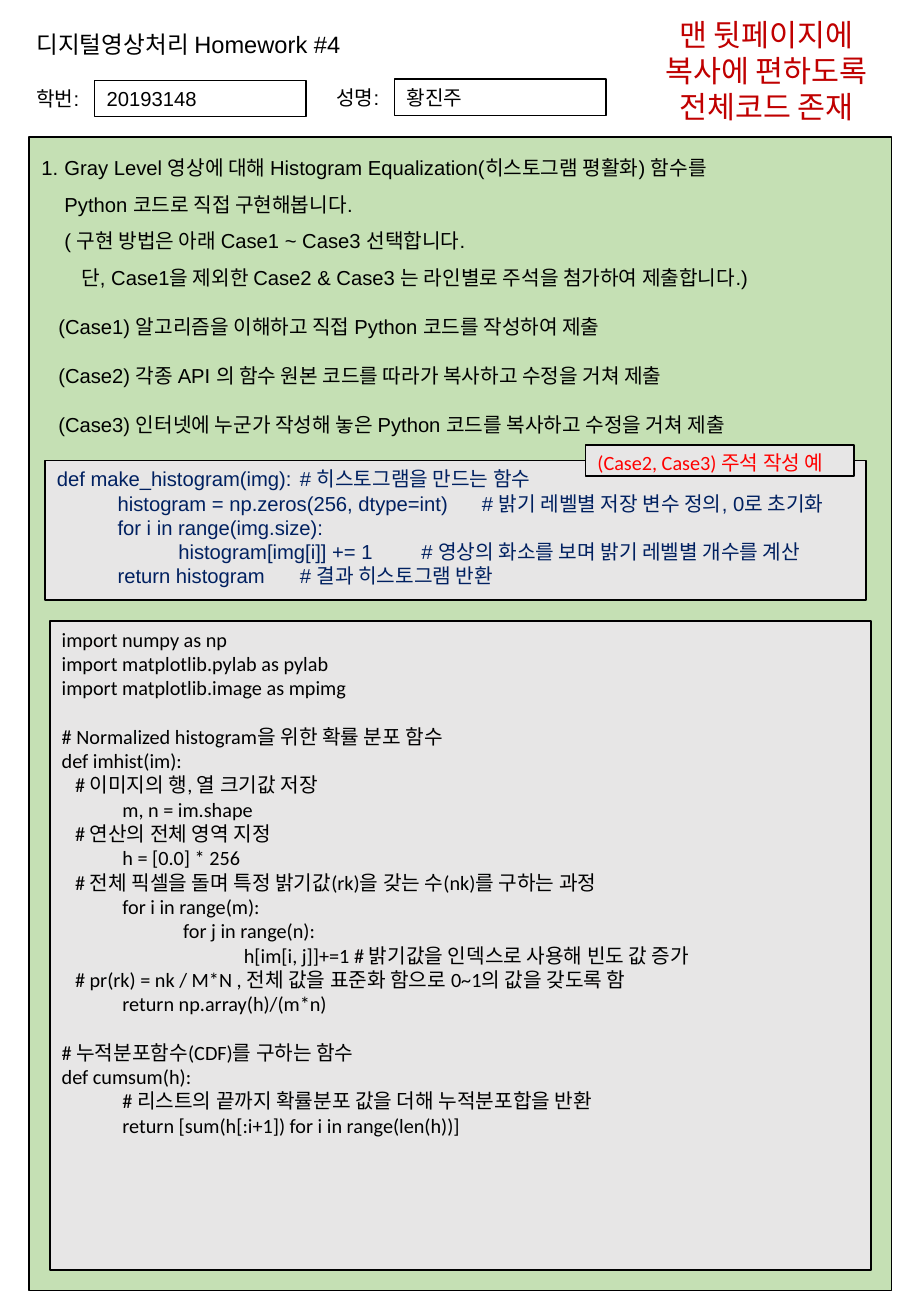
import pptx
import pptx.dml.color
import pptx.enum.shapes
import pptx.enum.text
import pptx.oxml
import pptx.oxml.ns
import pptx.util

ALIGN = pptx.enum.text.PP_ALIGN
ANCHOR = pptx.enum.text.MSO_ANCHOR
BLACK, WHITE, NAVY = "000000", "FFFFFF", "002060"
RED, DARK_RED, GREEN, GREY = "FF0000", "C00000", "C5E0B4", "E7E6E6"
BLANK_LINE = 14.4  # points: height of one line of code


def color(hex_code):
    """Turn a hex string into a colour."""
    return pptx.dml.color.RGBColor.from_string(hex_code)


def add_property(paragraph, tag, **attributes):
    """Append a drawing element to the paragraph properties."""
    element = pptx.oxml.parse_xml(f"<a:{tag} {pptx.oxml.ns.nsdecls('a')}/>")
    for key, value in attributes.items():
        element.set(key, str(value))
    paragraph._p.get_or_add_pPr().append(element)
    return element


class Sheet:
    """Style, grid and current slide of the homework sheet."""

    def __init__(self, deck, columns=75, rows=108.3):
        """Start a slide and divide it into columns and rows."""
        self.slide = deck.slides.add_slide(deck.slide_layouts[1])
        self.column = deck.slide_width / columns
        self.row = deck.slide_height / rows

    def place(self, shape, left, top, width, height):
        """Move a shape to a place given in columns and rows."""
        shape.left, shape.width = int(left * self.column), int(width * self.column)
        shape.top, shape.height = int(top * self.row), int(height * self.row)
        return shape

    def paint(self, shape, fill, line_width):
        """Give a shape a flat fill and a black outline."""
        shape.fill.solid()
        shape.fill.fore_color.rgb = color(fill)
        shape.line.color.rgb = color(BLACK)
        shape.line.width = pptx.util.Pt(line_width)

    def set_lines(self, shape, lines, font="Arial", size=12, ink=BLACK,
                  align=ALIGN.LEFT, anchor=ANCHOR.TOP, spacing=None):
        """Fill a shape with (text, settings) lines."""
        frame = shape.text_frame
        frame.auto_size = pptx.enum.text.MSO_AUTO_SIZE.NONE
        frame.vertical_anchor = anchor
        for index, (text, settings) in enumerate(lines):
            paragraph = frame.add_paragraph() if index else frame.paragraphs[0]
            paragraph.text = text
            paragraph.alignment = align
            paragraph.line_spacing = spacing
            paragraph.space_before = pptx.util.Pt(settings.get("before", 0))
            self.indent(paragraph, **settings)
            paragraph.font.name = font
            paragraph.font.size = pptx.util.Pt(size)
            paragraph.font.color.rgb = color(ink)

    def indent(self, paragraph, margin=0, numbered=False, stops=(), before=0):
        """Set margin, numbering and tab stops, all lengths in columns."""
        margin = int(margin * self.column)
        properties = paragraph._p.get_or_add_pPr()
        properties.set("marL", str(margin))
        properties.set("indent", str(-margin if numbered else 0))
        if numbered:
            add_property(paragraph, "buAutoNum", type="arabicPeriod")
        else:
            add_property(paragraph, "buNone")
        if stops:
            tabs = add_property(paragraph, "tabLst")
            for stop in stops:
                tab = tabs.makeelement(pptx.oxml.ns.qn("a:tab"),
                                       {"pos": str(int(stop * self.column)), "algn": "l"})
                tabs.append(tab)

    def title(self, place, text, **style):
        """Fill the title placeholder."""
        heading = self.place(self.slide.shapes.title, *place)
        self.set_lines(heading, [(text, {})], **style)

    def body(self, place, lines, fill, **style):
        """Fill the body placeholder as a coloured panel."""
        panel = self.place(self.slide.placeholders[1], *place)
        self.paint(panel, fill, 1)
        self.set_lines(panel, lines, **style)

    def box(self, place, lines, fill=GREY, line_width=1, **style):
        """Add an outlined rectangle with text."""
        rectangle = self.slide.shapes.add_shape(
            pptx.enum.shapes.MSO_SHAPE.RECTANGLE, 0, 0, 0, 0)
        rectangle.shadow.inherit = False
        self.paint(self.place(rectangle, *place), fill, line_width)
        self.set_lines(rectangle, lines, **style)

    def label(self, place, lines, wrap=True, **style):
        """Add plain text."""
        note = self.place(self.slide.shapes.add_textbox(0, 0, 0, 0), *place)
        note.text_frame.word_wrap = wrap
        self.set_lines(note, lines, **style)

    def field(self, left, top, name, value):
        """Add a caption with its framed answer."""
        self.label((left, top, 5.8, 3), [(name, {})], wrap=False)
        self.box((left + 5.8, top, 17.4, 3), [(value, {})], fill=WHITE, line_width=0.75)


deck = pptx.Presentation()
deck.slide_width = pptx.util.Inches(7.5)
deck.slide_height = pptx.util.Inches(10.83)
sheet = Sheet(deck)

sheet.title((2, 1.6, 64.7, 4.3), "디지털영상처리 Homework #4",
            size=14, anchor=ANCHOR.MIDDLE, spacing=0.9)

case = {"margin": 1.4, "before": 7.5}
task = [
    ("Gray Level 영상에 대해 Histogram Equalization(히스토그램 평활화) 함수를\v"
     "Python 코드로 직접 구현해봅니다.\v"
     "( 구현 방법은 아래 Case1 ~ Case3 선택합니다.",
     {"margin": 1.9, "numbered": True, "before": 7.5}),
    ("단, Case1을 제외한 Case2 & Case3 는 라인별로 주석을 첨가하여 제출합니다.)",
     {"margin": 3.3}),
    ("(Case1) 알고리즘을 이해하고 직접 Python 코드를 작성하여 제출", case),
    ("(Case2) 각종 API 의 함수 원본 코드를 따라가 복사하고 수정을 거쳐 제출", case),
    ("(Case3) 인터넷에 누군가 작성해 놓은 Python 코드를 복사하고 수정을 거쳐 제출", case),
]
sheet.body((2.4, 11.3, 71, 94.9), task, GREEN, spacing=1.5)

note, step = {"margin": 1.1}, {"margin": 5}
new_part = {"before": BLANK_LINE}
answer = [
    ("import numpy as np", {}),
    ("import matplotlib.pylab as pylab", {}),
    ("import matplotlib.image as mpimg", {}),
    ("# Normalized histogram을 위한 확률 분포 함수", new_part),
    ("def imhist(im):", {}),
    ("# 이미지의 행, 열 크기값 저장", note),
    ("m, n = im.shape", step),
    ("# 연산의 전체 영역 지정", note),
    ("h = [0.0] * 256", step),
    ("# 전체 픽셀을 돌며 특정 밝기값(rk)을 갖는 수(nk)를 구하는 과정", note),
    ("for i in range(m):", step),
    ("for j in range(n):", {"margin": 10}),
    ("h[im[i, j]]+=1 # 밝기값을 인덱스로 사용해 빈도 값 증가", {"margin": 15}),
    ("# pr(rk) = nk / M*N , 전체 값을 표준화 함으로 0~1의 값을 갖도록 함", note),
    ("return np.array(h)/(m*n)", step),
    ("# 누적분포함수(CDF)를 구하는 함수", new_part),
    ("def cumsum(h):", {}),
    ("# 리스트의 끝까지 확률분포 값을 더해 누적분포합을 반환", step),
    ("return [sum(h[:i+1]) for i in range(len(h))]", step),
]
sheet.box((4.1, 51.1, 67.6, 53.4), answer, font="Calibri", align=ALIGN.JUSTIFY)

sheet.field(2, 6.6, "학번:", "20193148")
sheet.field(26.7, 6.5, "성명:", "황진주")

example = [
    ("def make_histogram(img):\t# 히스토그램을 만드는 함수", {"stops": (20.3,)}),
    ("\thistogram = np.zeros(256, dtype=int)\t# 밝기 레벨별 저장 변수 정의, 0로 초기화",
     {"stops": (1.85, 30)}),
    ("\tfor i in range(img.size):", {"stops": (1.85,)}),
    ("\t\thistogram[img[i]] += 1\t# 영상의 화소를 보며 밝기 레벨별 개수를 계산",
     {"stops": (1.85, 3.7, 21.5)}),
    ("\treturn histogram\t# 결과 히스토그램 반환", {"stops": (1.85, 21.3)}),
]
sheet.box((3.7, 37.9, 67.6, 11.5), example, ink=NAVY, align=ALIGN.JUSTIFY)
sheet.box((48.2, 36.6, 22.1, 2.6), [("(Case2, Case3) 주석 작성 예", {})],
          font="Calibri", ink=RED, align=ALIGN.JUSTIFY)
sheet.label((52.8, 0.8, 20.6, 10.1),
            [("맨 뒷페이지에 복사에 편하도록", {}), ("전체코드 존재", {})],
            font="Calibri", size=18, ink=DARK_RED, align=ALIGN.CENTER)

deck.save("out.pptx")
